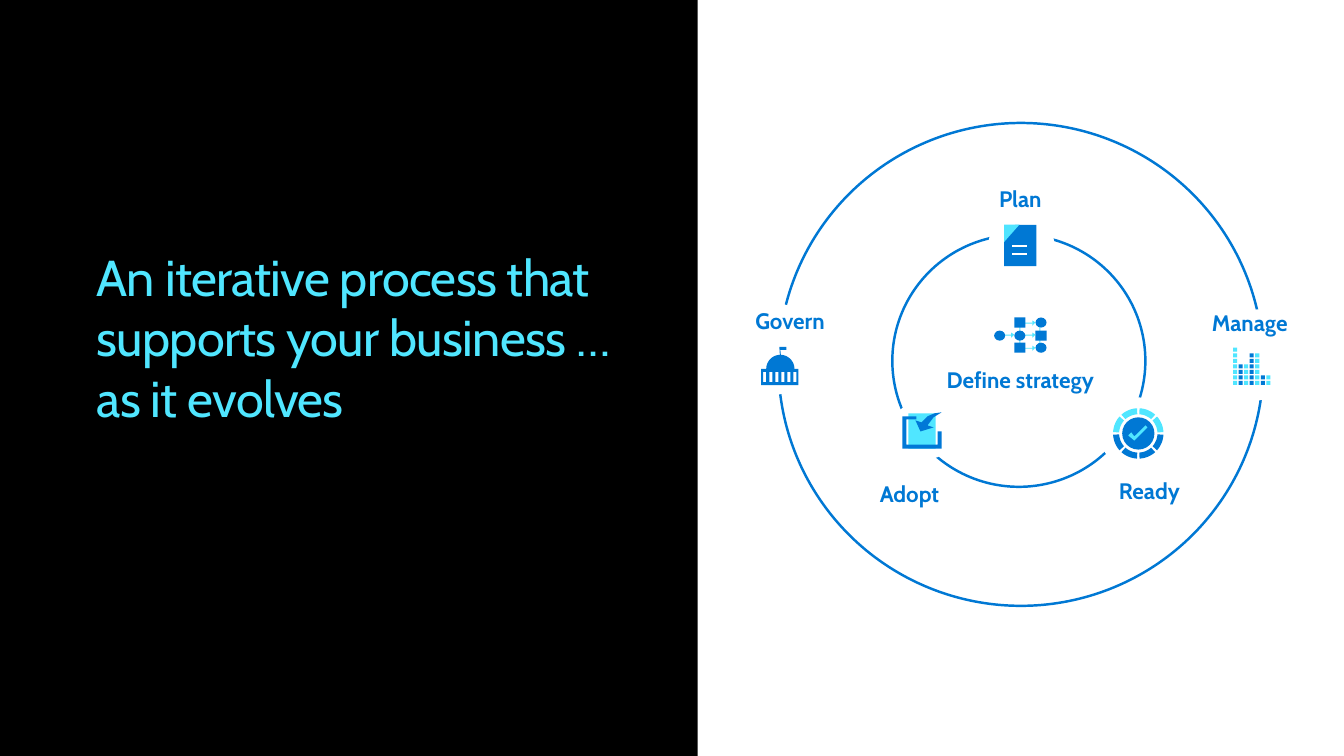
import math
from dataclasses import dataclass

import pptx
import pptx.dml.color
import pptx.enum.shapes
import pptx.enum.text
import pptx.oxml
import pptx.oxml.ns
import pptx.shapes.autoshape
import pptx.shapes.shapetree
import pptx.util
from pptx.util import Inches

Shape = pptx.shapes.autoshape.Shape
Shapes = pptx.shapes.shapetree.SlideShapes
Align = pptx.enum.text.PP_ALIGN
Points = list[tuple[float, float]]
RECT = pptx.enum.shapes.MSO_SHAPE.RECTANGLE
OVAL = pptx.enum.shapes.MSO_SHAPE.OVAL


@dataclass(frozen=True)
class Theme:
    font: str = "Cabin"
    title_size: float = 36
    label_size: float = 16
    ring_width: float = 1.75
    rule_width: float = 1.38
    black: str = "000000"
    white: str = "FFFFFF"
    blue: str = "0078D4"
    arrow_blue: str = "0078D7"
    cyan: str = "50E6FF"
    fold_cyan: str = "4FE4FF"


THEME = Theme()


@dataclass(frozen=True)
class Box:
    left: float
    top: float
    width: float
    height: float

    def lengths(self) -> tuple[int, int, int, int]:
        return Inches(self.left), Inches(self.top), Inches(self.width), Inches(self.height)


@dataclass(frozen=True)
class Label:
    text: str
    box: Box
    align: Align = Align.CENTER
    line_spacing: float | None = None


RINGS = [Box(7.72, 1.22, 4.81, 4.79), Box(8.85, 2.33, 2.51, 2.5)]
RING_GAPS = [
    Box(8.83, 3.98, 0.67, 0.58),
    Box(9.8, 2.12, 0.66, 0.65),
    Box(10.9, 3.94, 0.72, 0.71),
    Box(12.03, 3.07, 0.91, 0.9),
    Box(7.21, 3, 0.89, 0.92),
]
LABELS = [
    Label("Define strategy", Box(9.34, 3.66, 1.56, 0.24), line_spacing=0.9),
    Label("Plan", Box(9.9, 1.84, 0.44, 0.27)),
    Label("Adopt", Box(8.7, 4.76, 0.64, 0.27)),
    Label("Ready", Box(11.09, 4.73, 0.62, 0.27)),
    Label("Manage", Box(12.02, 3.07, 0.83, 0.27), Align.LEFT),
    Label("Govern", Box(7.44, 3.05, 0.74, 0.27), Align.RIGHT),
]


def rgb(color: str) -> pptx.dml.color.RGBColor:
    return pptx.dml.color.RGBColor.from_string(color)


def paint(sp: Shape, color: str) -> None:
    sp.shadow.inherit = False
    sp.fill.solid()
    sp.fill.fore_color.rgb = rgb(color)
    sp.line.fill.background()


def add_filled(shapes: Shapes, kind: int, box: Box, color: str) -> None:
    paint(shapes.add_shape(kind, *box.lengths()), color)


def add_ring(shapes: Shapes, box: Box) -> None:
    sp = shapes.add_shape(OVAL, *box.lengths())
    sp.shadow.inherit = False
    sp.fill.background()
    sp.line.color.rgb = rgb(THEME.blue)
    sp.line.width = pptx.util.Pt(THEME.ring_width)


def add_outline(shapes: Shapes, color: str, *contours: Points) -> None:
    """Fill closed contours; those inside the first are holes."""
    first, *holes = [[(Inches(x), Inches(y)) for x, y in c] for c in contours]
    builder = shapes.build_freeform(*first[0])
    builder.add_line_segments(first[1:])
    for hole in holes:
        builder.move_to(*hole[0])
        builder.add_line_segments(hole[1:])
    paint(builder.convert_to_shape(), color)


def arc(cx: float, cy: float, radius: float, start: float, end: float) -> Points:
    """Points along an arc, in degrees clockwise from the right."""
    angles = [math.radians(start + (end - start) * i / 16) for i in range(17)]
    return [(cx + radius * math.cos(a), cy + radius * math.sin(a)) for a in angles]


def rect_points(left: float, top: float, right: float, bottom: float) -> Points:
    return [(left, top), (right, top), (right, bottom), (left, bottom)]


def style_run(p, size: float, color: str, bold: bool = False):
    r = p.runs[0]
    r.font.name = THEME.font
    r.font.size = pptx.util.Pt(size)
    r.font.bold = bold
    r.font.color.rgb = rgb(color)
    return r


def add_title(shapes: Shapes) -> None:
    tf = shapes.add_textbox(*Box(0.86, 2.39, 5.44, 1.92).lengths()).text_frame
    tf.word_wrap = True
    tf.auto_size = pptx.enum.text.MSO_AUTO_SIZE.SHAPE_TO_FIT_TEXT
    tf.text = "An iterative process that supports your business … as it evolves"
    r = style_run(tf.paragraphs[0], THEME.title_size, THEME.cyan)
    r.font._element.set("spc", "-50")


def add_label(shapes: Shapes, label: Label) -> None:
    tf = shapes.add_textbox(*label.box.lengths()).text_frame
    tf.margin_left = tf.margin_right = tf.margin_top = tf.margin_bottom = 0
    tf.word_wrap = False
    tf.auto_size = pptx.enum.text.MSO_AUTO_SIZE.SHAPE_TO_FIT_TEXT
    tf.text = label.text
    p = tf.paragraphs[0]
    p.alignment = label.align
    p.line_spacing = label.line_spacing
    style_run(p, THEME.label_size, THEME.blue, bold=True)


def add_strategy_icon(shapes: Shapes) -> None:
    for link in (Box(10.12, 3.45, 0.13, 0.01), Box(10.31, 3.2, 0.01, 0.27),
                 Box(10.14, 3.32, 0.11, 0.01), Box(9.93, 3.32, 0.11, 0.01)):
        add_filled(shapes, RECT, link, THEME.cyan)
    add_outline(shapes, THEME.cyan, [(10.12, 3.44), (10.11, 3.44), (10.11, 3.2),
                                     (10.24, 3.2), (10.24, 3.21), (10.12, 3.21)])
    columns = [(9.86, {3.28: OVAL}),
               (10.06, {3.15: RECT, 3.28: OVAL, 3.4: RECT}),
               (10.27, {3.15: OVAL, 3.28: RECT, 3.4: OVAL})]
    for left, nodes in columns:
        for top, kind in nodes.items():
            add_filled(shapes, kind, Box(left, top, 0.11, 0.1), THEME.blue)
    for x, y in ((10.24, 3.18), (10.24, 3.3), (10.24, 3.43), (10.03, 3.3)):
        add_outline(shapes, THEME.cyan, [(x, y), (x + 0.03, y + 0.02), (x, y + 0.05)])


def add_adopt_icon(shapes: Shapes) -> None:
    add_filled(shapes, RECT, Box(9.01, 4.1, 0.27, 0.35), THEME.cyan)
    add_outline(shapes, THEME.arrow_blue, [
        (9.3, 4.28), (9.3, 4.41), (8.99, 4.41), (8.99, 4.16), (9.09, 4.16),
        (9.09, 4.13), (8.95, 4.13), (8.95, 4.45), (9.34, 4.45), (9.34, 4.28)])
    add_outline(shapes, THEME.arrow_blue, [
        (9.34, 4.09), (9.27, 4.1), (9.2, 4.13), (9.14, 4.19), (9.08, 4.17),
        (9.13, 4.28), (9.26, 4.24), (9.2, 4.22), (9.26, 4.14)])


def add_plan_icon(shapes: Shapes) -> None:
    add_outline(shapes, THEME.blue, [(10.07, 2.23), (9.96, 2.35), (9.96, 2.64),
                                     (10.28, 2.64), (10.28, 2.23)])
    for y in (2.44, 2.52):
        line = shapes.add_connector(pptx.enum.shapes.MSO_CONNECTOR.STRAIGHT,
                                    Inches(10.04), Inches(y), Inches(10.19), Inches(y))
        line.line.color.rgb = rgb(THEME.white)
        line.line.width = pptx.util.Pt(THEME.rule_width)
        line._element.spPr.append(pptx.oxml.parse_xml(
            f"<a:effectLst {pptx.oxml.ns.nsdecls('a')}/>"))
    add_outline(shapes, THEME.fold_cyan, [(9.96, 2.23), (10.11, 2.23), (9.96, 2.4)])


def add_ready_icon(shapes: Shapes) -> None:
    cx, cy = 11.29, 4.3
    add_filled(shapes, OVAL, Box(11.13, 4.14, 0.32, 0.32), THEME.blue)
    add_outline(shapes, THEME.cyan, [(11.38, 4.24), (11.36, 4.22), (11.25, 4.33),
                                     (11.22, 4.29), (11.19, 4.32), (11.25, 4.37)])
    for start in range(0, 360, 45):
        color = THEME.blue if start < 180 else THEME.cyan
        add_outline(shapes, color, arc(cx, cy, 0.25, start + 3, start + 42)
                    + arc(cx, cy, 0.19, start + 42, start + 3))


def add_manage_icon(shapes: Shapes) -> None:
    step = 0.33 / 6
    for column, count in enumerate((7, 4, 4, 6, 6, 2, 2)):
        color = THEME.blue if column % 2 else THEME.cyan
        for row in range(count):
            add_filled(shapes, RECT, Box(12.23 + column * step, 3.78 - row * step, 0.04, 0.04), color)


def add_govern_icon(shapes: Shapes) -> None:
    dome = arc(7.74, 3.66, 0.14, 180, 268) + [
        (7.73, 3.44), (7.8, 3.44), (7.8, 3.47), (7.74, 3.47)] + arc(7.74, 3.66, 0.14, 272, 360)
    building = dome + [(7.92, 3.66), (7.92, 3.82), (7.55, 3.82), (7.55, 3.66)]
    windows = [rect_points(7.57 + i * 0.06, 3.69, 7.6 + i * 0.06, 3.79) for i in range(6)]
    add_outline(shapes, THEME.blue, building, *windows)


def main() -> None:
    prs = pptx.Presentation()
    prs.slide_width, prs.slide_height = Inches(13.33), Inches(7.5)
    shapes = prs.slides.add_slide(prs.slide_layouts[6]).shapes
    add_filled(shapes, RECT, Box(0, -0.02, 6.92, 7.52), THEME.black)
    add_title(shapes)
    for ring in RINGS:
        add_ring(shapes, ring)
    for gap in RING_GAPS:
        add_filled(shapes, OVAL, gap, THEME.white)
    for add_icon in (add_strategy_icon, add_adopt_icon, add_plan_icon,
                     add_ready_icon, add_manage_icon, add_govern_icon):
        add_icon(shapes)
    for label in LABELS:
        add_label(shapes, label)
    prs.save("out.pptx")


if __name__ == "__main__":
    main()
